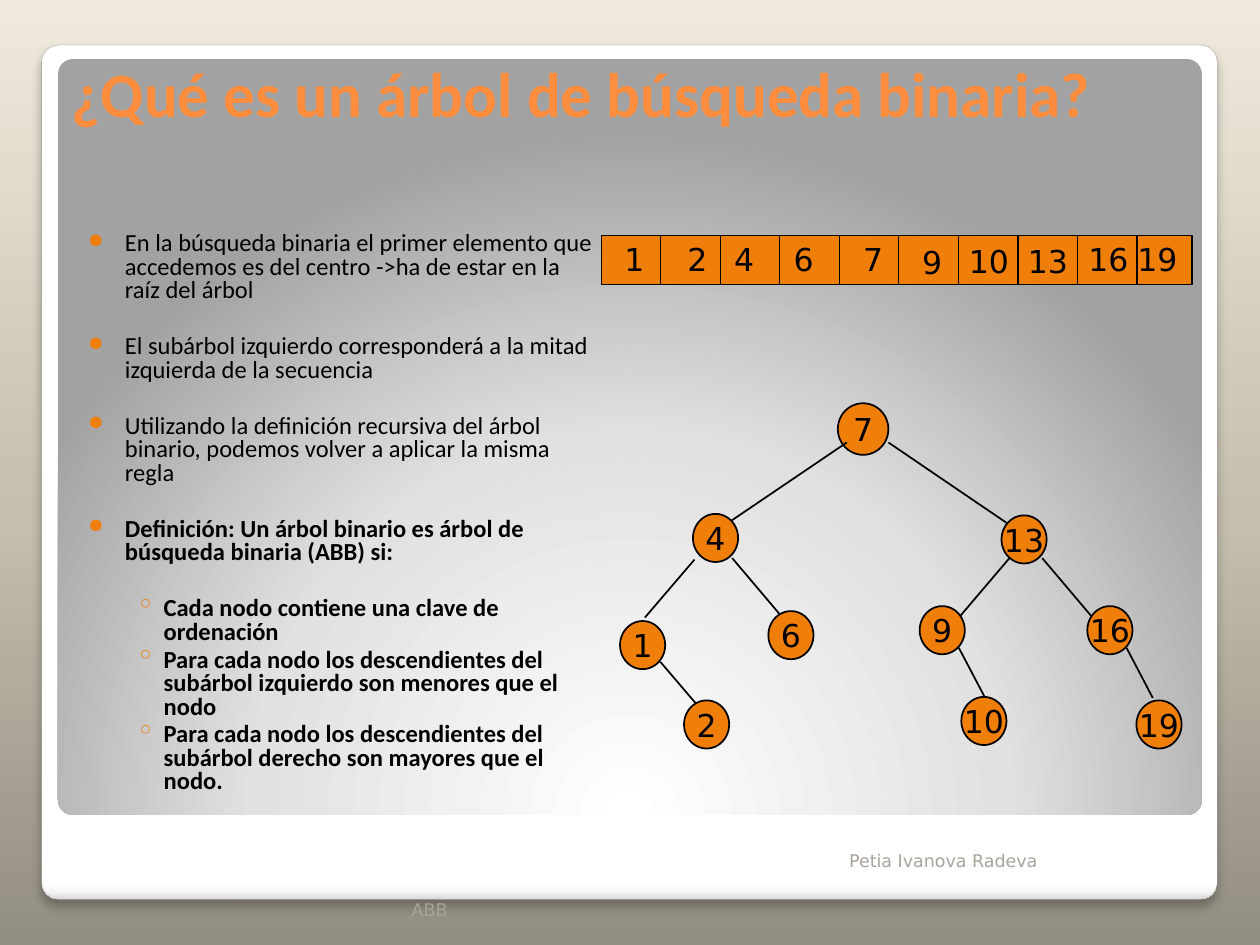
from lxml.etree import SubElement
from pptx import Presentation
from pptx.dml.color import RGBColor
from pptx.enum.shapes import MSO_CONNECTOR, MSO_SHAPE
from pptx.enum.text import MSO_ANCHOR, PP_ALIGN
from pptx.oxml.ns import qn
from pptx.util import Cm, Pt

ORANGE, BLACK = "F07F09", "000000"
TITLE = "¿Qué es un árbol de búsqueda binaria?"
# text, level, bold, space before in points
POINTS = [
    ("En la búsqueda binaria el primer elemento que accedemos es del centro "
     "->ha de estar en la raíz del árbol", 0, False, 2.5),
    ("El subárbol izquierdo corresponderá a la mitad izquierda de la secuencia", 0, False, 18.5),
    ("Utilizando la definición recursiva del árbol binario, podemos volver a "
     "aplicar la misma regla", 0, False, 18.5),
    ("Definición: Un árbol binario es árbol de búsqueda binaria (ABB) si:", 0, True, 18.5),
    ("Cada nodo contiene una clave de ordenación", 1, True, 18.5),
    ("Para cada nodo los descendientes del subárbol izquierdo son menores que el nodo",
     1, True, 2.5),
    ("Para cada nodo los descendientes del subárbol derecho son mayores que el nodo.",
     1, True, 2.5),
]
# bullet, size in percent, left margin and hanging indent in cm
LEVELS = [("●", 80, 0.74, 0.74), ("◦", 100, 1.52, 0.56)]
# text, colour, left, top, width, height in cm
FOOTERS = [
    ("Petia Ivanova Radeva", "A8A49B", 16.87, 16.66, 6.35, 1.02),
    ("ABB", "A7A399", 8.05, 17.35, 9.53, 1.32),
]
# key, left and top of its label in cm
SEQUENCE = [
    (1, 12.34, 4.72), (2, 13.61, 4.72), (4, 14.55, 4.72), (6, 15.75, 4.72),
    (7, 17.15, 4.72), (9, 18.34, 4.78), (10, 19.28, 4.75), (13, 20.47, 4.75),
    (16, 21.69, 4.72), (19, 22.68, 4.72),
]
STRIP_LEFT, STRIP_TOP, STRIP_WIDTH, STRIP_HEIGHT, CELL_WIDTH = 12.12, 4.75, 11.91, 0.99, 1.2
ROOT_SIZE, NODE_SIZE = (1.02, 1.04), (0.91, 0.97)
# key, left and top in cm, line from the parent (x1, y1, x2, y2)
TREE = [
    (7, 16.89, 8.13, None),
    (4, 13.97, 10.36, (17.07, 8.92, 14.68, 10.54)),
    (13, 20.19, 10.39, (17.91, 8.92, 20.29, 10.54)),
    (1, 12.5, 12.52, (14.0, 11.28, 13.0, 12.45)),
    (6, 15.49, 12.32, (14.76, 11.25, 15.75, 12.42)),
    (9, 18.54, 12.22, (20.35, 11.25, 19.33, 12.45)),
    (16, 21.92, 12.22, (21.01, 11.25, 22.0, 12.42)),
    (2, 13.79, 14.12, (13.31, 13.34, 14.3, 14.5)),
    (10, 19.38, 14.05, (19.33, 13.06, 19.86, 14.07)),
    (19, 22.91, 14.12, (22.71, 13.06, 23.24, 14.07)),
]


def color(value):
    return RGBColor.from_string(value)


def add_xml(parent, tag, **attributes):
    return SubElement(parent, qn(tag), {name: str(value) for name, value in attributes.items()})


def set_gradient(element, fill, stops, angle=None):
    """Fill with a linear gradient, or one radiating from the bottom centre without an angle."""
    fill.solid()
    solid = element.find(".//" + qn("a:solidFill"))
    gradient = solid.makeelement(qn("a:gradFill"), {"rotWithShape": "1"})
    solid.getparent().replace(solid, gradient)
    stop_list = add_xml(gradient, "a:gsLst")
    for position, value in stops:
        stop = add_xml(stop_list, "a:gs", pos=position * 1000)
        add_xml(stop, "a:srgbClr", val=value)
    if angle is None:
        circle = add_xml(gradient, "a:path", path="circle")
        add_xml(circle, "a:fillToRect", l=50000, t=175000, r=50000, b=-75000)
    else:
        add_xml(gradient, "a:lin", ang=angle * 60000, scaled=0)


def add_run(paragraph, text, size, font, value, bold=False):
    run = paragraph.add_run()
    run.text = text
    run.font.size, run.font.name, run.font.bold = Pt(size), font, bold
    run.font.color.rgb = color(value)


def add_shape(shapes, kind, left, top, width, height, line_width=None):
    shape = shapes.add_shape(kind, Cm(left), Cm(top), Cm(width), Cm(height))
    shape.shadow.inherit = False
    if line_width:
        shape.fill.solid()
        shape.fill.fore_color.rgb = color(ORANGE)
        shape.line.color.rgb = color(BLACK)
        shape.line.width = Pt(line_width)
    else:
        shape.line.fill.background()
    return shape


def add_line(shapes, x1, y1, x2, y2, width):
    line = shapes.add_connector(MSO_CONNECTOR.STRAIGHT, Cm(x1), Cm(y1), Cm(x2), Cm(y2))
    line.line.color.rgb = color(BLACK)
    line.line.width = Pt(width)
    add_xml(line._element.spPr, "a:effectLst")


def add_text(shapes, text, left, top, width, height, size, value):
    frame = shapes.add_textbox(Cm(left), Cm(top), Cm(width), Cm(height)).text_frame
    add_run(frame.paragraphs[0], text, size, "DejaVu Sans", value)
    return frame


def add_panels(slide):
    set_gradient(slide._element, slide.background.fill,
                 [(0, "938E82"), (45, "C4BEAD"), (100, "F0EADC")], 270)
    card = add_shape(slide.shapes, MSO_SHAPE.ROUNDED_RECTANGLE, 0.84, 0.91, 23.7, 17.22)
    set_gradient(card._element, card.fill,
                 [(0, "FFFFFF"), (98, "FFFFFF"), (99, "F7F7F7"), (100, "DADADA")], 90)
    card.line.color.rgb = color("A4A3A3")
    card.line.width = Pt(0.16)
    effects = card._element.spPr.find(qn("a:effectLst"))
    shadow = add_xml(effects, "a:outerShdw", blurRad=Pt(5), dist=Pt(4), dir=90 * 60000,
                     algn="t", rotWithShape=0)
    add_xml(add_xml(shadow, "a:srgbClr", val=BLACK), "a:alpha", val=25000)
    panel = add_shape(slide.shapes, MSO_SHAPE.ROUNDED_RECTANGLE, 1.17, 1.19, 23.06, 15.24)
    set_gradient(panel._element, panel.fill, [(0, "FFFFFF"), (55, "E1E1E1"), (100, "A2A2A2")])
    for shape in (card, panel):
        shape.adjustments[0] = 0.02


def add_title(slide):
    title = slide.shapes.title
    title.left, title.top, title.width, title.height = Cm(1.19), Cm(1.19), Cm(22.73), Cm(1.57)
    title.text_frame.vertical_anchor = MSO_ANCHOR.BOTTOM
    paragraph = title.text_frame.paragraphs[0]
    paragraph.alignment = PP_ALIGN.LEFT
    add_run(paragraph, TITLE, 36, "Calibri", "FF8D3E", True)
    # bring the title in front of the panels
    slide.shapes._spTree.append(title._element)


def add_points(slide):
    frame = slide.shapes.add_textbox(Cm(1.27), Cm(4.45), Cm(11.02), Cm(12.57)).text_frame
    frame.word_wrap = True
    frame.margin_left, frame.margin_top = Cm(0.51), Cm(0.25)
    for index, (text, level, bold, space_before) in enumerate(POINTS):
        paragraph = frame.add_paragraph() if index else frame.paragraphs[0]
        paragraph.level = level
        paragraph.line_spacing = 0.8
        paragraph.space_before = Pt(space_before)
        bullet, percent, margin, hanging = LEVELS[level]
        properties = paragraph._p.get_or_add_pPr()
        properties.set("marL", str(Cm(margin)))
        properties.set("indent", str(-Cm(hanging)))
        add_xml(add_xml(properties, "a:buClr"), "a:srgbClr", val=ORANGE)
        add_xml(properties, "a:buSzPct", val=percent * 1000)
        add_xml(properties, "a:buChar", char=bullet)
        add_run(paragraph, text, 14, "Calibri", BLACK, bold)


def add_sequence(shapes):
    add_shape(shapes, MSO_SHAPE.RECTANGLE, STRIP_LEFT, STRIP_TOP, STRIP_WIDTH, STRIP_HEIGHT, 0.75)
    for index in range(1, len(SEQUENCE)):
        x = STRIP_LEFT + index * CELL_WIDTH
        add_line(shapes, x, STRIP_TOP, x, STRIP_TOP + STRIP_HEIGHT, 0.75)
    for key, left, top in SEQUENCE:
        width = 0.91 if key < 10 else 1.32
        add_text(shapes, str(key), left, top, width, 1.02, 18, BLACK).word_wrap = False


def add_tree(shapes):
    for key, left, top, edge in TREE:
        if edge:
            add_line(shapes, *edge, 1)
        size = NODE_SIZE if edge else ROOT_SIZE
        frame = add_shape(shapes, MSO_SHAPE.OVAL, left, top, *size, 1).text_frame
        frame.word_wrap = False
        frame.vertical_anchor = MSO_ANCHOR.MIDDLE
        frame.paragraphs[0].alignment = PP_ALIGN.CENTER
        add_run(frame.paragraphs[0], str(key), 18, "DejaVu Sans", BLACK)


def main():
    presentation = Presentation()
    presentation.slide_width, presentation.slide_height = Cm(25.4), Cm(19.05)
    slide = presentation.slides.add_slide(presentation.slide_layouts[5])
    add_panels(slide)
    for text, value, *box in FOOTERS:
        frame = add_text(slide.shapes, text, *box, 10, value)
        frame.word_wrap = True
        frame.vertical_anchor = MSO_ANCHOR.BOTTOM
    add_title(slide)
    add_points(slide)
    add_sequence(slide.shapes.add_group_shape().shapes)
    add_tree(slide.shapes.add_group_shape().shapes)
    presentation.save("out.pptx")


if __name__ == "__main__":
    main()
